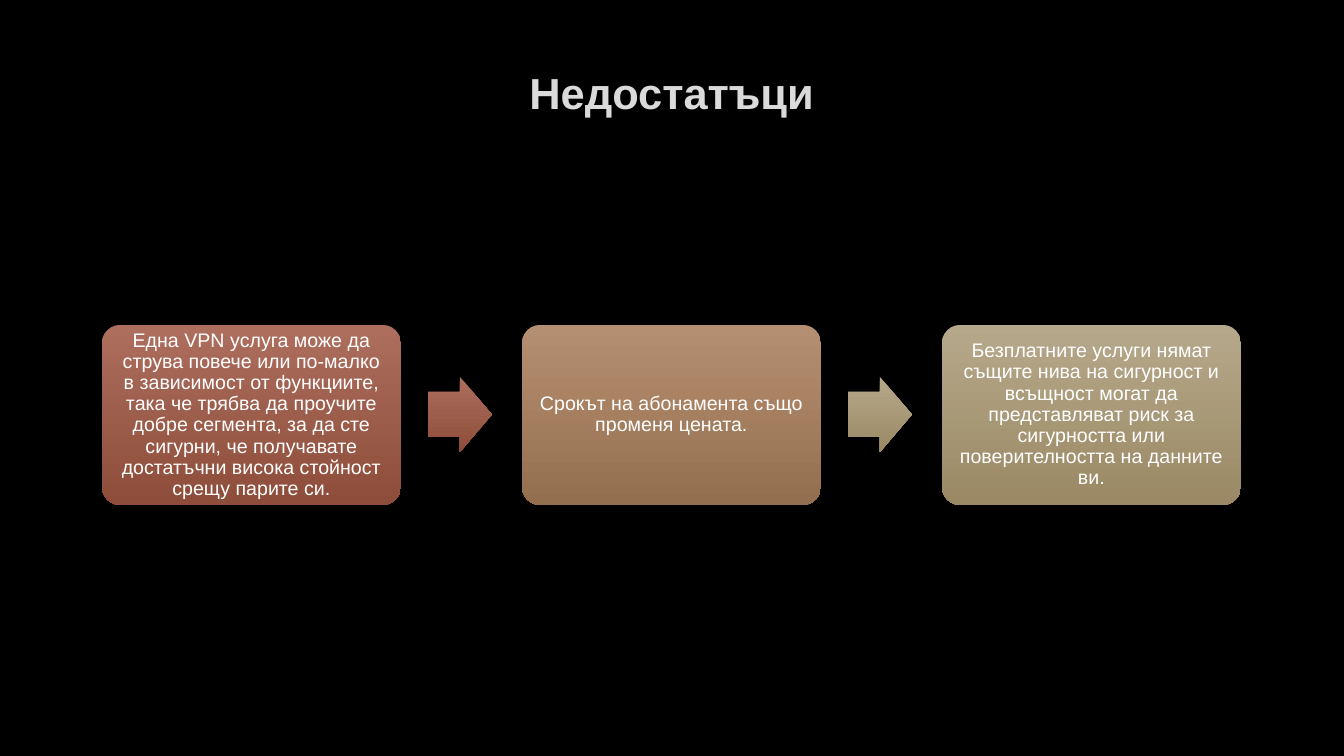
"""Builds a slide with three drawbacks joined by arrows."""
from pptx import Presentation
from pptx.dml.color import RGBColor
from pptx.enum.shapes import MSO_SHAPE
from pptx.enum.text import MSO_ANCHOR, PP_ALIGN
from pptx.util import Emu, Pt

ROUNDED, ARROW = MSO_SHAPE.ROUNDED_RECTANGLE, MSO_SHAPE.RIGHT_ARROW
TOP, MIDDLE, CENTER = MSO_ANCHOR.TOP, MSO_ANCHOR.MIDDLE, PP_ALIGN.CENTER

TITLE = "Недостатъци"
DRAWBACKS = [
    ("Една VPN услуга може да струва повече или по-малко в зависимост от функциите, "
     "така че трябва да проучите добре сегмента, за да сте сигурни, че получавате "
     "достатъчни висока стойност срещу парите си.", "red"),
    ("Срокът на абонамента също променя цената.", "brown"),
    ("Безплатните услуги нямат същите нива на сигурност и всъщност могат да "
     "представляват риск за сигурността или поверителността на данните ви.", "sand"),
]
ARROW_TONES = ["red", "sand"]
COLORS = {
    "background": "000000", "title": "DADADA", "text": "FFFFFF",
    "red_start": "AD6E5E", "red_end": "8E4D3A",
    "brown_start": "B58F71", "brown_end": "946F4F",
    "sand_start": "B6A88B", "sand_end": "9A8964",
}
TITLE_FORMAT = {"size": Pt(31), "bold": True, "name": "Arial"}
BODY_FORMAT = {"size": Pt(14), "bold": False, "name": "Arial"}

SLIDE_W, SLIDE_H = 1344, 756
TITLE_AREA = (101, 67, 1141, 107)
BOX_LEFT, BOX_TOP, BOX_W, BOX_H = 102, 325, 299, 180
ARROW_W, ARROW_H = 64, 75
PITCH, ARROW_OFFSET = 420, 326
ARROW_TOP = BOX_TOP + (BOX_H - ARROW_H) // 2


def px(value):
    return Emu(round(value * 914400 / 100.8))


def color(name):
    return RGBColor.from_string(COLORS[name])


def write(shape, text, tone, font_format, anchor, inset_x, inset_y):
    frame = shape.text_frame
    layout = {
        "word_wrap": True, "vertical_anchor": anchor,
        "margin_left": px(inset_x), "margin_right": px(inset_x),
        "margin_top": px(inset_y), "margin_bottom": px(inset_y),
    }
    for key, value in layout.items():
        setattr(frame, key, value)
    para = frame.paragraphs[0]
    para.alignment = CENTER
    para.line_spacing = 0.9
    span = para.add_run()
    span.text = text
    for key, value in font_format.items():
        setattr(span.font, key, value)
    span.font.color.rgb = color(tone)


def add_gradient_shape(page, kind, area, tone, adjustments):
    shape = page.shapes.add_shape(kind, *map(px, area))
    shape.shadow.inherit = False
    shape.line.fill.background()
    for index, value in enumerate(adjustments):
        shape.adjustments[index] = value
    shape.fill.gradient()
    shape.fill.gradient_angle = 270
    for stop, end in zip(shape.fill.gradient_stops, ("start", "end")):
        stop.color.rgb = color(f"{tone}_{end}")
    return shape


def main():
    deck = Presentation()
    deck.slide_width, deck.slide_height = px(SLIDE_W), px(SLIDE_H)
    page = deck.slides.add_slide(deck.slide_layouts[6])
    page.background.fill.solid()
    page.background.fill.fore_color.rgb = color("background")

    title = page.shapes.add_textbox(*map(px, TITLE_AREA))
    write(title, TITLE, "title", TITLE_FORMAT, TOP, 10, 5)

    for index, (text, tone) in enumerate(DRAWBACKS):
        area = (BOX_LEFT + index * PITCH, BOX_TOP, BOX_W, BOX_H)
        box = add_gradient_shape(page, ROUNDED, area, tone, [0.1])
        write(box, text, "text", BODY_FORMAT, MIDDLE, 11, 11)

    for index, tone in enumerate(ARROW_TONES):
        left = BOX_LEFT + ARROW_OFFSET + index * PITCH
        add_gradient_shape(page, ARROW, (left, ARROW_TOP, ARROW_W, ARROW_H), tone, [0.6, 0.5])

    deck.save("out.pptx")


if __name__ == "__main__":
    main()
